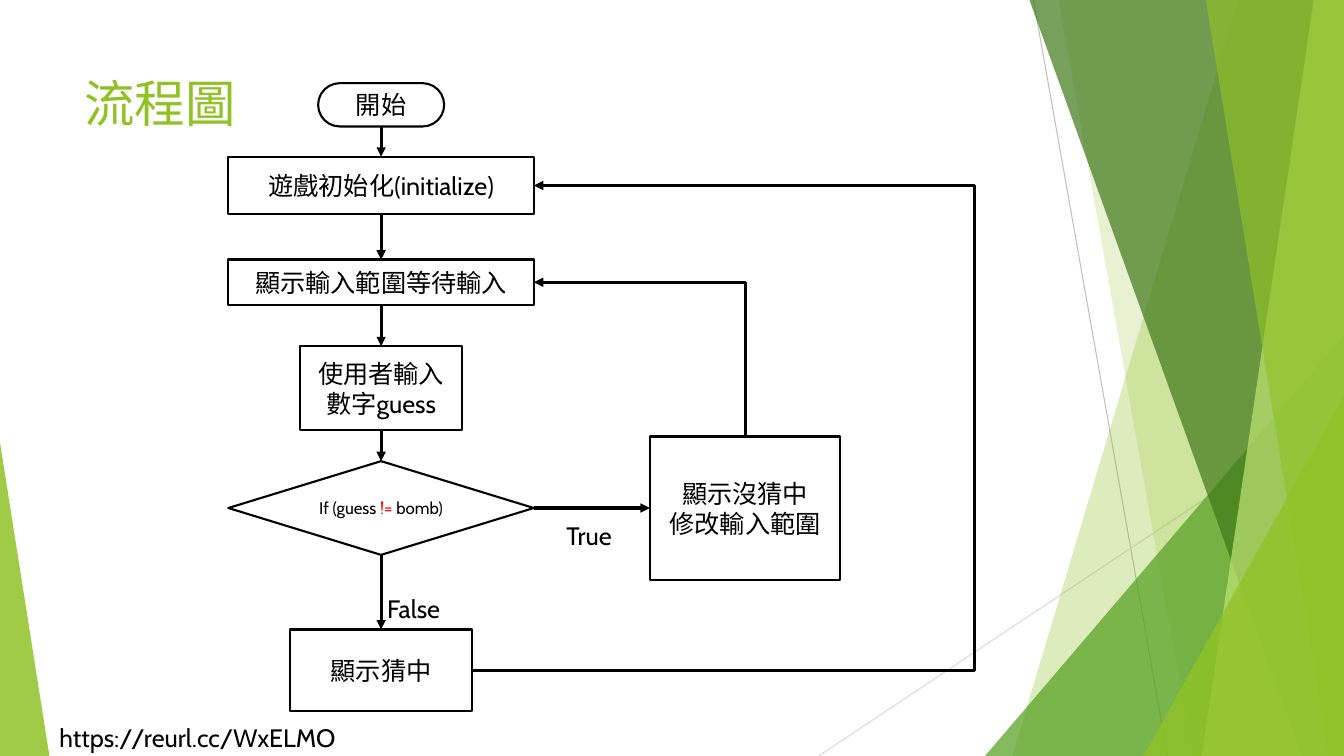
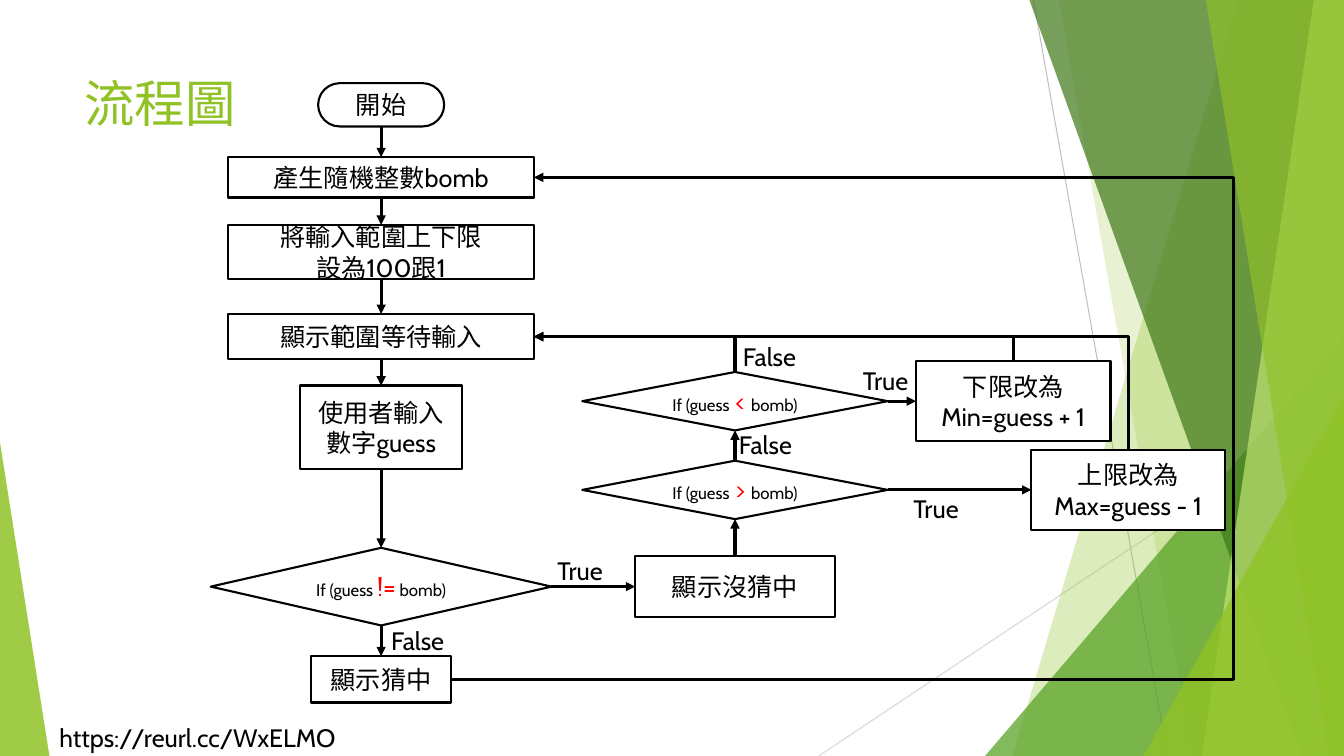
from itertools import pairwise

from pptx import Presentation
from pptx.dml.color import RGBColor
from pptx.enum.shapes import MSO_CONNECTOR, MSO_SHAPE
from pptx.enum.text import MSO_ANCHOR, MSO_AUTO_SIZE, PP_ALIGN
from pptx.oxml.ns import qn
from pptx.oxml.xmlchemy import OxmlElement
from pptx.util import Inches, Pt

WIDE, HIGH = 13.33, 7.5
FONT = "Cabin"
INK = RGBColor(0x00, 0x00, 0x00)
WHITE = RGBColor(0xFF, 0xFF, 0xFF)
RED = RGBColor(0xFF, 0x00, 0x00)
LIME = RGBColor(0x90, 0xC2, 0x26)
GREEN = RGBColor(0x54, 0xA0, 0x21)
DARK = RGBColor(0x3F, 0x78, 0x19)
PALE = RGBColor(0xC0, 0xE4, 0x74)
GRAY = RGBColor(0xBF, 0xBF, 0xBF)
MIST = RGBColor(0xD9, 0xD9, 0xD9)

TITLE = "流程圖"
LINK = "https://reurl.cc/WxELMO"

RAYS = [((10.25, 0), (11.58, HIGH), GRAY), ((WIDE, 4.03), (8.12, HIGH), MIST)]
BANDS = [
    ((12.28, 10.04), LIME, 30),
    ((10.5, 11.83), LIME, 20),
    ((9.77, 3.33, 3.56, 1), GREEN, 72),
    ((10.21, 12.91), DARK, 70),
    ((13.03, 11.92), PALE, 70),
    ((11.96, 13.18), LIME, 65),
    ((11.34, 3.93, 1.99, 1), LIME, 80),
    ((0, 4.39, 0.49, 0), LIME, 85),
]

PILL, BOX, TEST = MSO_SHAPE.ROUNDED_RECTANGLE, MSO_SHAPE.RECTANGLE, MSO_SHAPE.DIAMOND
TOP, LEFT, BASE, RIGHT = range(4)
COL = 3.78
START = (PILL, COL, 1.04, 1.25, 0.43, ["開始"])
READ = ["使用者輸入數字guess"]


def check(sign, size, gap=()):
    return [[("If (guess", 12, INK), *gap, (sign, size, RED), ("bomb)", 12, INK)]]


SPACE = (" ", 18, INK)
THIN = (" ", 12, INK)

FLOWS = [
    {
        "nodes": {
            "start": START,
            "init": (BOX, COL, 1.84, 3.03, 0.57, ["遊戲初始化(initialize)"]),
            "show": (BOX, COL, 2.8, 3.03, 0.45, ["顯示輸入範圍等待輸入"]),
            "read": (BOX, COL, 3.85, 1.61, 0.83, READ),
            "test": (TEST, COL, 5.04, 3.03, 0.93, check("!= ", 12, [THIN])),
            "hit": (BOX, COL, 6.65, 1.81, 0.81, ["顯示猜中"]),
            "miss": (BOX, 7.39, 5.04, 1.89, 1.42, ["顯示沒猜中", "修改輸入範圍"]),
        },
        "down": ["start", "init", "show", "read", "test", "hit"],
        "up": [],
        "right": [("test", "miss")],
        "back": ["miss"],
        "loop": ("hit", "init", 9.67),
        "labels": [("True", 5.52, 5.11), ("False", 3.74, 5.84)],
    },
    {
        "nodes": {
            "start": START,
            "make": (BOX, COL, 1.76, 3.03, 0.4, ["產生隨機整數bomb"]),
            "set": (BOX, COL, 2.5, 3.03, 0.54, ["將輸入範圍上下限", "設為100跟1"]),
            "show": (BOX, COL, 3.34, 3.03, 0.45, ["顯示範圍等待輸入"]),
            "read": (BOX, COL, 4.24, 1.61, 0.83, READ),
            "test": (TEST, COL, 5.82, 3.38, 0.77,
                     [[("If (guess ", 12, INK), ("!=", 18, RED), (" bomb)", 12, INK)]]),
            "hit": (BOX, COL, 6.74, 1.39, 0.46, ["顯示猜中"]),
            "miss": (BOX, 7.29, 5.82, 1.98, 0.6, ["顯示沒猜中"]),
            "more": (TEST, 7.29, 4.86, 3.03, 0.58, check("> ", 18, [SPACE])),
            "less": (TEST, 7.29, 3.98, 3.03, 0.58, check("< ", 18, [SPACE])),
            "max": (BOX, 11.19, 4.86, 1.92, 0.79, ["上限改為", "Max=guess - 1"]),
            "min": (BOX, 10.05, 3.98, 1.93, 0.79, ["下限改為", "Min=guess + 1"]),
        },
        "down": ["start", "make", "set", "show", "read", "test", "hit"],
        "up": ["miss", "more", "less"],
        "right": [("test", "miss"), ("more", "max"), ("less", "min")],
        "back": ["less", "min", "max"],
        "loop": ("hit", "make", 12.23),
        "labels": [
            ("True", 5.43, 5.46), ("False", 3.78, 6.15), ("False", 7.23, 4.21),
            ("False", 7.27, 3.34), ("True", 8.96, 4.84), ("True", 8.46, 3.58),
        ],
    },
]


def style(font, size, color):
    font.name, font.size = FONT, Pt(size)
    font.color.rgb = color


def write(frame, lines, size=18, color=INK, align=PP_ALIGN.LEFT):
    for i, line in enumerate(lines):
        para = frame.add_paragraph() if i else frame.paragraphs[0]
        para.alignment = align
        if isinstance(line, str):
            para.text = line
            style(para.font, size, color)
            continue
        for text, pts, tint in line:
            run = para.add_run()
            run.text = text
            style(run.font, pts, tint)


def label(slide, text, x, y, w, h=0.4, size=18, color=INK, wrap=False):
    box = slide.shapes.add_textbox(*map(Inches, (x, y, w, h)))
    frame = box.text_frame
    frame.word_wrap = wrap
    if not wrap:
        frame.auto_size = MSO_AUTO_SIZE.SHAPE_TO_FIT_TEXT
    write(frame, [text], size, color)


def stroke(slide, kind, color, width, head=None, ends=(0, 0, 0, 0)):
    line = slide.shapes.add_connector(kind, *map(Inches, ends))
    line.line.color.rgb = color
    line.line.width = Pt(width)
    props = line.element.spPr
    if head:
        tip = OxmlElement(head)
        tip.set("type", "triangle")
        props.find(qn("a:ln")).append(tip)
    props.append(OxmlElement("a:effectLst"))
    return line


def band(slide, geo, color, alpha):
    if len(geo) == 2:
        top, base = geo
        points = [(top, 0), (WIDE, 0), (WIDE, HIGH), (base, HIGH)]
        points = [(Inches(x), Inches(y)) for x, y in points]
        path = slide.shapes.build_freeform(*points[0])
        path.add_line_segments(points[1:], close=True)
        shape = path.convert_to_shape()
    else:
        x, y, w, apex = geo
        shape = slide.shapes.add_shape(
            MSO_SHAPE.ISOSCELES_TRIANGLE, *map(Inches, (x, y, w, HIGH - y)))
        shape.adjustments[0] = apex
    shape.shadow.inherit = False
    shape.fill.solid()
    shape.fill.fore_color.rgb = color
    shape.line.fill.background()
    tint = OxmlElement("a:alpha")
    tint.set("val", str(alpha * 1000))
    shape.element.spPr.find(".//" + qn("a:srgbClr")).append(tint)


def decor(slide, layout):
    for start, end, color in RAYS:
        stroke(slide, MSO_CONNECTOR.STRAIGHT, color, 0.75, ends=(*start, *end))
    for item in BANDS:
        band(slide, *item)
    label(slide, LINK, 0.49, 7.12, 3.12)
    for part in list(slide.shapes):
        layout.shapes.element.append(part.element)


def node(slide, kind, cx, cy, w, h, lines):
    shape = slide.shapes.add_shape(
        kind, *map(Inches, (cx - w / 2, cy - h / 2, w, h)))
    if kind == PILL:
        shape.adjustments[0] = 0.5
    shape.shadow.inherit = False
    shape.fill.solid()
    shape.fill.fore_color.rgb = WHITE
    shape.line.color.rgb = INK
    shape.line.width = Pt(1.5)
    shape.text_frame.word_wrap = True
    shape.text_frame.vertical_anchor = MSO_ANCHOR.MIDDLE
    write(shape.text_frame, lines, align=PP_ALIGN.CENTER)
    return shape


def join(slide, start, out, end, into, kind=MSO_CONNECTOR.STRAIGHT, head="a:tailEnd"):
    line = stroke(slide, kind, INK, 2.25, head)
    line.begin_connect(start, out)
    line.end_connect(end, into)
    return line


def back(slide, start, end):
    line = join(slide, end, RIGHT, start, TOP, MSO_CONNECTOR.ELBOW, "a:headEnd")
    line.element.spPr.find(qn("a:prstGeom")).set("prst", "bentConnector2")


def loop(slide, start, end, x):
    line = join(slide, start, RIGHT, end, RIGHT, MSO_CONNECTOR.ELBOW)
    ratio = (Inches(x) - line.begin_x) / (line.end_x - line.begin_x)
    guide = OxmlElement("a:gd")
    guide.set("name", "adj1")
    guide.set("fmla", f"val {round(ratio * 100000)}")
    geom = line.element.spPr.find(qn("a:prstGeom"))
    geom.get_or_add_avLst().append(guide)


def chart(slide, flow):
    label(slide, TITLE, 0.74, 0.67, 9.4, 1.44, 36, LIME, True)
    nodes = {key: node(slide, *spec) for key, spec in flow["nodes"].items()}
    for a, b in pairwise(flow["down"]):
        join(slide, nodes[a], BASE, nodes[b], TOP)
    for a, b in pairwise(flow["up"]):
        join(slide, nodes[a], TOP, nodes[b], BASE)
    for a, b in flow["right"]:
        join(slide, nodes[a], RIGHT, nodes[b], LEFT)
    for key in flow["back"]:
        back(slide, nodes[key], nodes["show"])
    a, b, x = flow["loop"]
    loop(slide, nodes[a], nodes[b], x)
    for text, x, y in flow["labels"]:
        label(slide, text, x, y, 0.7 if text == "True" else 0.78)


def main():
    deck = Presentation()
    deck.slide_width, deck.slide_height = Inches(WIDE), Inches(HIGH)
    blank = deck.slide_layouts[6]
    slides = [deck.slides.add_slide(blank) for _ in FLOWS]
    decor(slides[0], blank)
    for slide, flow in zip(slides, FLOWS):
        chart(slide, flow)
    deck.save("out.pptx")


if __name__ == "__main__":
    main()
